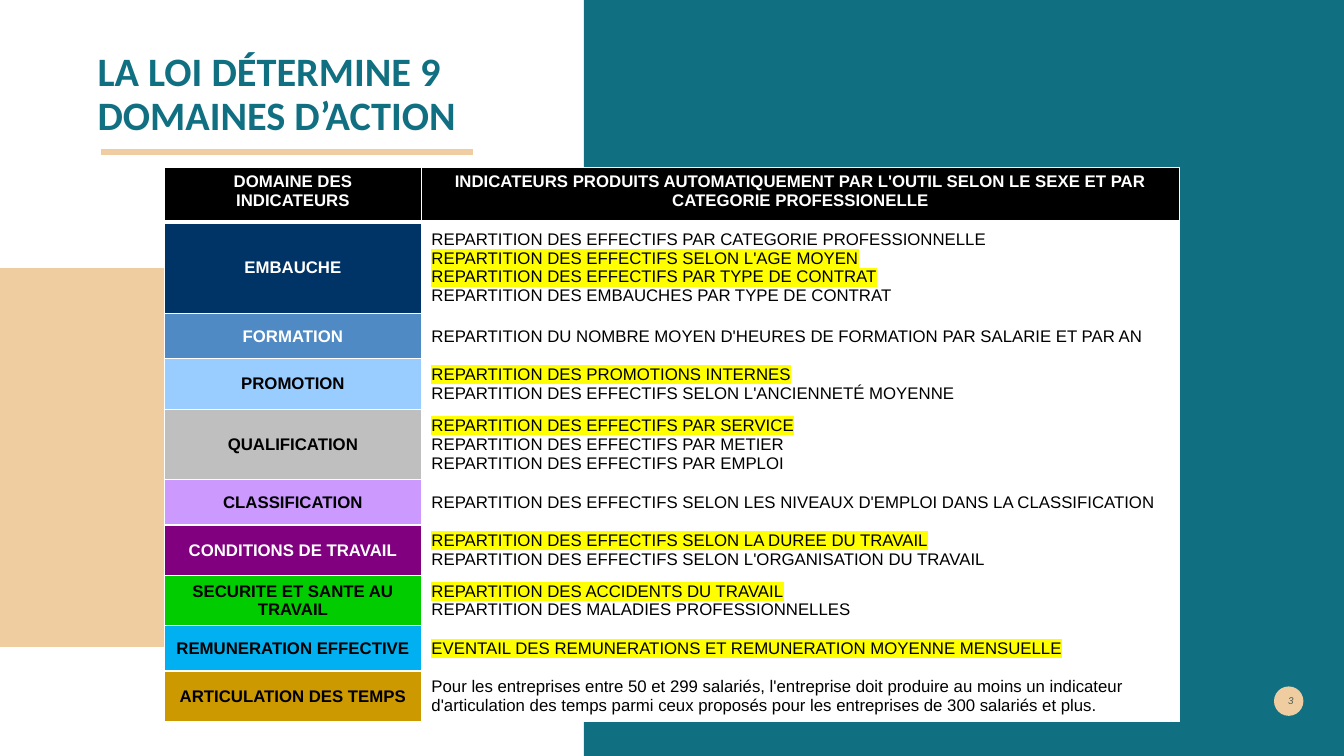
import pptx
import pptx.dml.color
import pptx.enum.shapes
import pptx.enum.text
import pptx.oxml
import pptx.oxml.ns
import pptx.util
from dataclasses import dataclass
from lxml import etree

Pt = pptx.util.Pt
ALIGN = pptx.enum.text.PP_ALIGN
ANCHOR = pptx.enum.text.MSO_ANCHOR
SHAPES = pptx.enum.shapes.MSO_SHAPE
qn = pptx.oxml.ns.qn


@dataclass(frozen=True)
class Theme:
    teal: str = "107082"
    sand: str = "F0CDA1"
    number: str = "00292E"
    white: str = "FFFFFF"
    black: str = "000000"
    highlight: str = "FFFF00"
    title_font: str = "Calibri"
    body_font: str = "Arial"
    title_size: float = 28.8
    table_size: float = 12
    number_size: float = 7


THEME = Theme()
HEADERS = (
    "DOMAINE DES INDICATEURS",
    "INDICATEURS PRODUITS AUTOMATIQUEMENT PAR L'OUTIL SELON LE SEXE ET PAR CATEGORIE PROFESSIONELLE",
)
# Domain, fill, text colour, indicators; a leading * marks a highlighted indicator
DOMAINS = [
    ("EMBAUCHE", "003366", THEME.white, [
        "REPARTITION DES EFFECTIFS PAR CATEGORIE PROFESSIONNELLE",
        "*REPARTITION DES EFFECTIFS SELON L'AGE MOYEN",
        "*REPARTITION DES EFFECTIFS PAR TYPE DE CONTRAT",
        "REPARTITION DES EMBAUCHES PAR TYPE DE CONTRAT"]),
    ("FORMATION", "4F8AC5", THEME.white, [
        "REPARTITION DU NOMBRE MOYEN D'HEURES DE FORMATION PAR SALARIE ET PAR AN"]),
    ("PROMOTION", "99CCFF", THEME.black, [
        "*REPARTITION DES PROMOTIONS INTERNES",
        "REPARTITION DES EFFECTIFS SELON L'ANCIENNETÉ MOYENNE"]),
    ("QUALIFICATION", "BFBFBF", THEME.black, [
        "*REPARTITION DES EFFECTIFS PAR SERVICE",
        "REPARTITION DES EFFECTIFS PAR METIER",
        "REPARTITION DES EFFECTIFS PAR EMPLOI"]),
    ("CLASSIFICATION", "CC99FF", THEME.black, [
        "REPARTITION DES EFFECTIFS SELON LES NIVEAUX D'EMPLOI DANS LA CLASSIFICATION"]),
    ("CONDITIONS DE TRAVAIL", "800080", THEME.white, [
        "*REPARTITION DES EFFECTIFS SELON LA DUREE DU TRAVAIL",
        "REPARTITION DES EFFECTIFS SELON L'ORGANISATION DU TRAVAIL"]),
    ("SECURITE ET SANTE AU TRAVAIL", "00CC00", THEME.black, [
        "*REPARTITION DES ACCIDENTS DU TRAVAIL",
        "REPARTITION DES MALADIES PROFESSIONNELLES"]),
    ("REMUNERATION EFFECTIVE", "00B0F0", THEME.black, [
        "*EVENTAIL DES REMUNERATIONS ET REMUNERATION MOYENNE MENSUELLE"]),
    ("ARTICULATION DES TEMPS", "CC9900", THEME.black, [
        "Pour les entreprises entre 50 et 299 salariés, l'entreprise doit produire au moins un indicateur "
        "d'articulation des temps parmi ceux proposés pour les entreprises de 300 salariés et plus."]),
]


def rgb(colour):
    return pptx.dml.color.RGBColor.from_string(colour)


def style(paragraph, name, size, colour, bold=False, italic=False, align=ALIGN.LEFT):
    font = paragraph.font
    font.name, font.size, font.bold, font.italic = name, Pt(size), bold, italic
    font.color.rgb = rgb(colour)
    paragraph.alignment = align


def add_block(slide, preset, colour, *box):
    shape = slide.shapes.add_shape(preset, *map(Pt, box))
    shape.shadow.inherit = False
    shape.fill.solid()
    shape.fill.fore_color.rgb = rgb(colour)
    shape.line.fill.background()


def add_rule(slide, colour, width, left, right, y):
    connector = slide.shapes.add_connector(
        pptx.enum.shapes.MSO_CONNECTOR.STRAIGHT, Pt(left), Pt(y), Pt(right), Pt(y))
    connector.line.color.rgb = rgb(colour)
    connector.line.width = Pt(width)
    etree.SubElement(connector.element.spPr, qn("a:effectLst"))


def set_title(slide, text, *box):
    title = slide.shapes.title
    title.left, title.top, title.width, title.height = map(Pt, box)
    frame = title.text_frame
    frame.text = text
    frame.word_wrap = True
    frame.auto_size = pptx.enum.text.MSO_AUTO_SIZE.NONE
    frame.vertical_anchor = ANCHOR.BOTTOM
    paragraph = frame.paragraphs[0]
    paragraph.line_spacing = 0.9
    style(paragraph, THEME.title_font, THEME.title_size, THEME.teal, bold=True)


def add_slide_number(slide, text, *box):
    frame = slide.shapes.add_textbox(*map(Pt, box)).text_frame
    frame.word_wrap = True
    frame.vertical_anchor = ANCHOR.MIDDLE
    paragraph = frame.paragraphs[0]
    paragraph.text = text
    style(paragraph, THEME.body_font, THEME.number_size, THEME.number, italic=True, align=ALIGN.RIGHT)
    # Make the digit slightly transparent
    colour = next(paragraph.font.fill._xPr.iter(qn("a:srgbClr")))
    etree.SubElement(colour, qn("a:alpha"), val="70000")


def highlight(run):
    mark = etree.SubElement(run.font._element, qn("a:highlight"))
    etree.SubElement(mark, qn("a:srgbClr"), val=THEME.highlight)


def set_borders(cell, top, bottom):
    properties = cell._tc.get_or_add_tcPr()
    for position, (side, width) in enumerate((("L", 1), ("R", 1), ("T", top), ("B", bottom))):
        border = etree.Element(qn(f"a:ln{side}"), w=str(Pt(width)))
        fill = etree.SubElement(border, qn("a:solidFill"))
        etree.SubElement(fill, qn("a:srgbClr"), val=THEME.white)
        properties.insert(position, border)


def fill_cell(cell, lines, fill, colour, bold, align, anchor=ANCHOR.MIDDLE, top=1, bottom=1):
    cell.fill.solid()
    cell.fill.fore_color.rgb = rgb(fill)
    cell.vertical_anchor = anchor
    set_borders(cell, top, bottom)
    frame = cell.text_frame
    for index, line in enumerate(lines):
        paragraph = frame.add_paragraph() if index else frame.paragraphs[0]
        run = paragraph.add_run()
        run.text = line.removeprefix("*")
        style(paragraph, THEME.body_font, THEME.table_size, colour, bold, align=align)
        if line.startswith("*"):
            highlight(run)


def add_domain_table(slide, left, top, widths, heights):
    table = slide.shapes.add_table(
        len(heights), len(widths), Pt(left), Pt(top), Pt(sum(widths)), Pt(sum(heights))).table
    table.horz_banding = False
    for column, width in zip(table.columns, widths):
        column.width = Pt(width)
    for row, height in zip(table.rows, heights):
        row.height = Pt(height)
    for column, header in enumerate(HEADERS):
        fill_cell(table.cell(0, column), [header], THEME.black, THEME.white, True,
                  ALIGN.CENTER, ANCHOR.TOP, bottom=3)
    for row, (domain, fill, colour, indicators) in enumerate(DOMAINS, 1):
        top_border = 3 if row == 1 else 1
        fill_cell(table.cell(row, 0), [domain], fill, colour, True, ALIGN.CENTER, top=top_border)
        fill_cell(table.cell(row, 1), indicators, THEME.white, THEME.black, False,
                  ALIGN.LEFT, top=top_border)


def main():
    presentation = pptx.Presentation()
    presentation.slide_width, presentation.slide_height = Pt(960), Pt(540)
    slide = presentation.slides.add_slide(presentation.slide_layouts[5])

    # Background blocks and page number
    add_block(slide, SHAPES.RECTANGLE, THEME.teal, 417, 0, 543, 540)
    add_block(slide, SHAPES.OVAL, THEME.sand, 910, 490.3, 21, 21)
    add_block(slide, SHAPES.RECTANGLE, THEME.sand, 0, 191.5, 285.5, 270.5)
    add_slide_number(slide, "3", 903, 486, 28, 29)

    # Table of domains
    add_domain_table(slide, 117.5, 119.5, (183.5, 541.5), [39, 65.5] + [32.3] * 8)

    # Title and its underline
    set_title(slide, "LA LOI DÉTERMINE 9 DOMAINES D’ACTION", 62.5, 0.5, 353.5, 102.5)
    add_rule(slide, THEME.sand, 4.32, 72.5, 338, 108.6)
    presentation.save("out.pptx")


if __name__ == "__main__":
    main()
